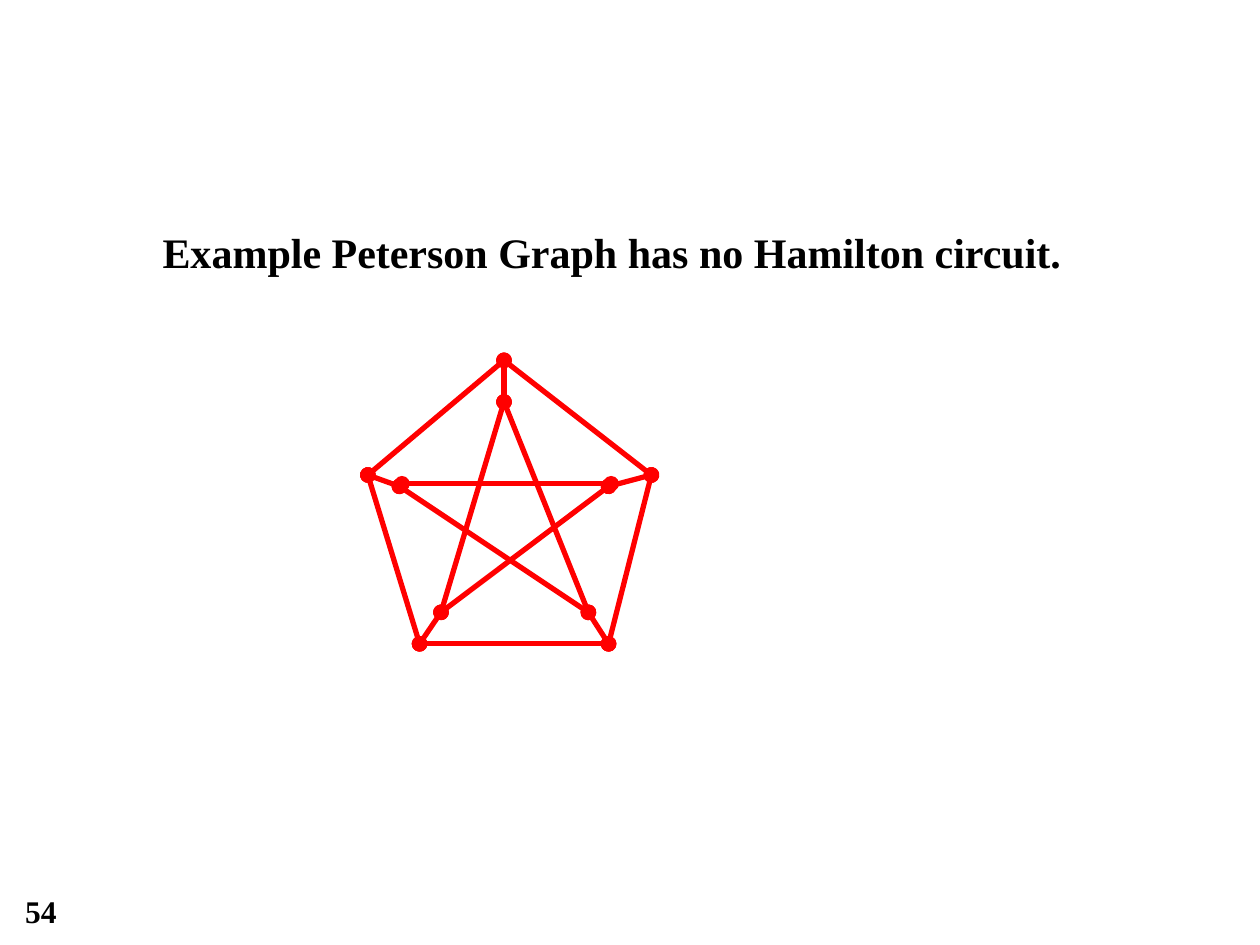
from lxml.etree import SubElement
from pptx import Presentation
from pptx.dml.color import RGBColor
from pptx.enum.shapes import MSO_CONNECTOR as Connector
from pptx.enum.text import MSO_ANCHOR as Anchor, PP_ALIGN as Align
from pptx.oxml.ns import qn
from pptx.util import Inches, Pt

COLUMNS, ROWS = 10, 7.5
OUTER = {"top": (4, 2.86), "right": (5.17, 3.77), "low right": (4.83, 5.11),
         "low left": (3.33, 5.11), "left": (2.92, 3.77)}
INNER = {"top": (4, 3.19), "right": (4.83, 3.86), "low right": (4.67, 4.86),
         "low left": (3.5, 4.86), "left": (3.17, 3.86)}
CROSSBAR = ((3.19, 3.84), (4.85, 3.84))
STAR = [("top", "low left"), ("top", "low right"),
        ("right", "low left"), ("left", "low right")]


def color(value):
    """Turn a hex string into a colour."""
    return RGBColor.from_string(value)


def apply(target, values):
    """Set attributes of an object from a dict."""
    for name, value in values.items():
        setattr(target, name, value)


class SlideBuilder:
    """Hold the style and the current slide on a grid of columns and rows."""

    FONT = {"name": "Times New Roman", "bold": True}
    INK, EDGE, EDGE_WIDTH = "000000", "FF0000", Pt(3)

    def __init__(self, presentation):
        """Add a slide whose only placeholder is the body."""
        self.column = presentation.slide_width / COLUMNS
        self.row = presentation.slide_height / ROWS
        self.slide = presentation.slides.add_slide(presentation.slide_layouts[1])
        title = self.slide.shapes.title
        title.element.getparent().remove(title.element)

    def place(self, column, row):
        """Convert a grid position to slide units."""
        return round(column * self.column), round(row * self.row)

    def fill_text(self, shape, text, size, margins):
        """Fill a shape with one paragraph in the slide style."""
        frame = shape.text_frame
        across, down = margins
        apply(frame, {"word_wrap": True, "vertical_anchor": Anchor.TOP,
                      "margin_left": across, "margin_right": across,
                      "margin_top": down, "margin_bottom": down})
        paragraph = frame.paragraphs[0]
        paragraph.text = text
        apply(paragraph, {"alignment": Align.LEFT, "space_before": Pt(0)})
        apply(paragraph.font, {**self.FONT, "size": Pt(size)})
        paragraph.font.color.rgb = color(self.INK)

    def body(self, text, column, row, columns, rows):
        """Move the body placeholder and set an indented statement."""
        shape = self.slide.placeholders[1]
        left, top = self.place(column, row)
        width, height = self.place(columns, rows)
        apply(shape, {"left": left, "top": top, "width": width, "height": height})
        properties = shape.text_frame.paragraphs[0]._p.get_or_add_pPr()
        properties.set("marL", str(Inches(0.38)))
        properties.set("indent", str(Inches(0.31)))
        SubElement(properties, qn("a:buNone"))
        self.fill_text(shape, text, 24, (Inches(0.1), Inches(0.05)))

    def page_number(self, text, column, row, columns, rows):
        """Set the page number in a box without margins."""
        shape = self.slide.shapes.add_textbox(
            *self.place(column, row), *self.place(columns, rows))
        self.fill_text(shape, text, 18, (0, 0))

    def graph(self, edges):
        """Draw a group of edges with a round vertex at each end."""
        group = self.slide.shapes.add_group_shape()
        for start, end in edges:
            edge = group.shapes.add_connector(
                Connector.STRAIGHT, *self.place(*start), *self.place(*end))
            edge.line.width = self.EDGE_WIDTH
            edge.line.color.rgb = color(self.EDGE)
            outline = edge.line._get_or_add_ln()
            for tag in ("a:headEnd", "a:tailEnd"):
                SubElement(outline, qn(tag), type="oval")
            SubElement(edge._element.spPr, qn("a:effectLst"))


def main():
    """Build the slide and save it."""
    presentation = Presentation()
    apply(presentation, {"slide_width": Inches(10), "slide_height": Inches(7.5)})
    builder = SlideBuilder(presentation)
    builder.page_number("54", 0.2, 7.08, 0.75, 0.3)
    builder.body("Example Peterson Graph has no Hamilton circuit.", 0.5, 1.75, 9, 4.95)
    corners = list(OUTER.values())
    star = [(INNER[start], INNER[end]) for start, end in STAR]
    spokes = [(INNER[name], OUTER[name]) for name in OUTER]
    pentagon = list(zip(corners, corners[1:] + corners[:1]))
    builder.graph(star + [CROSSBAR] + spokes + pentagon)
    presentation.save("out.pptx")


if __name__ == "__main__":
    main()
